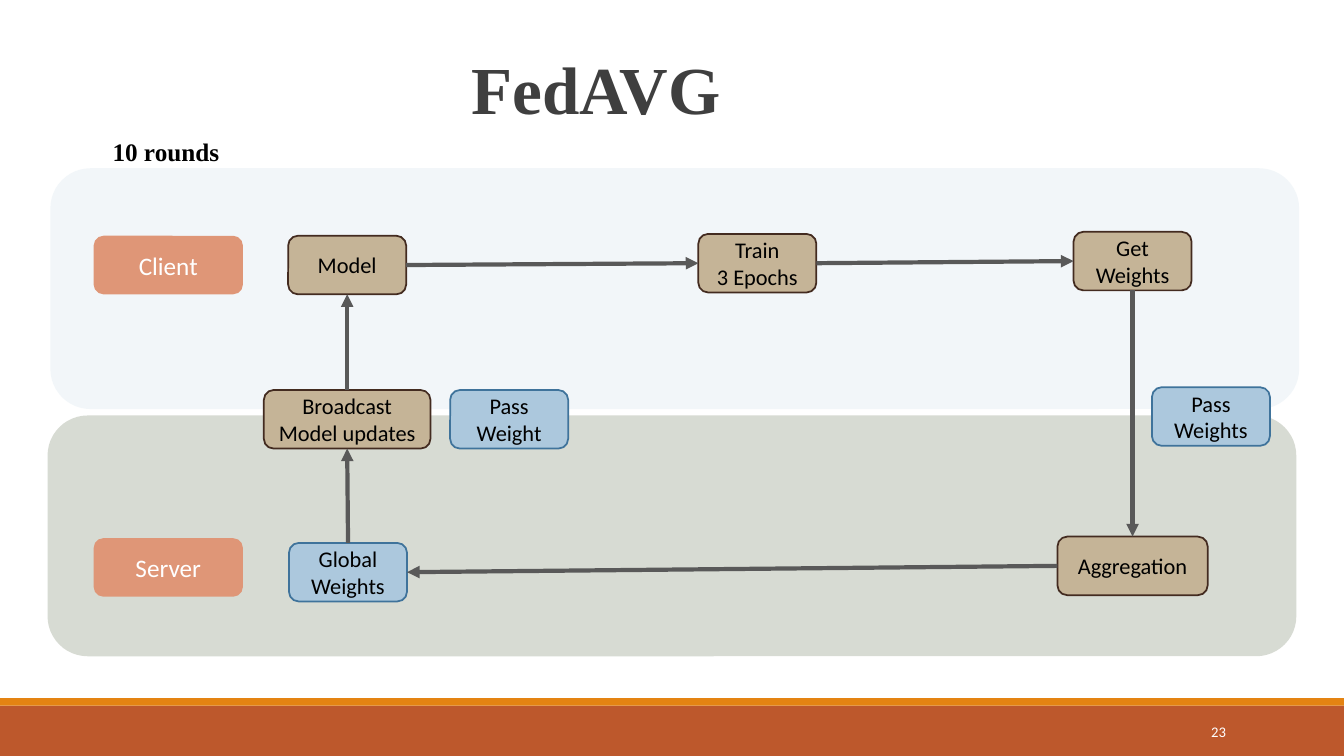
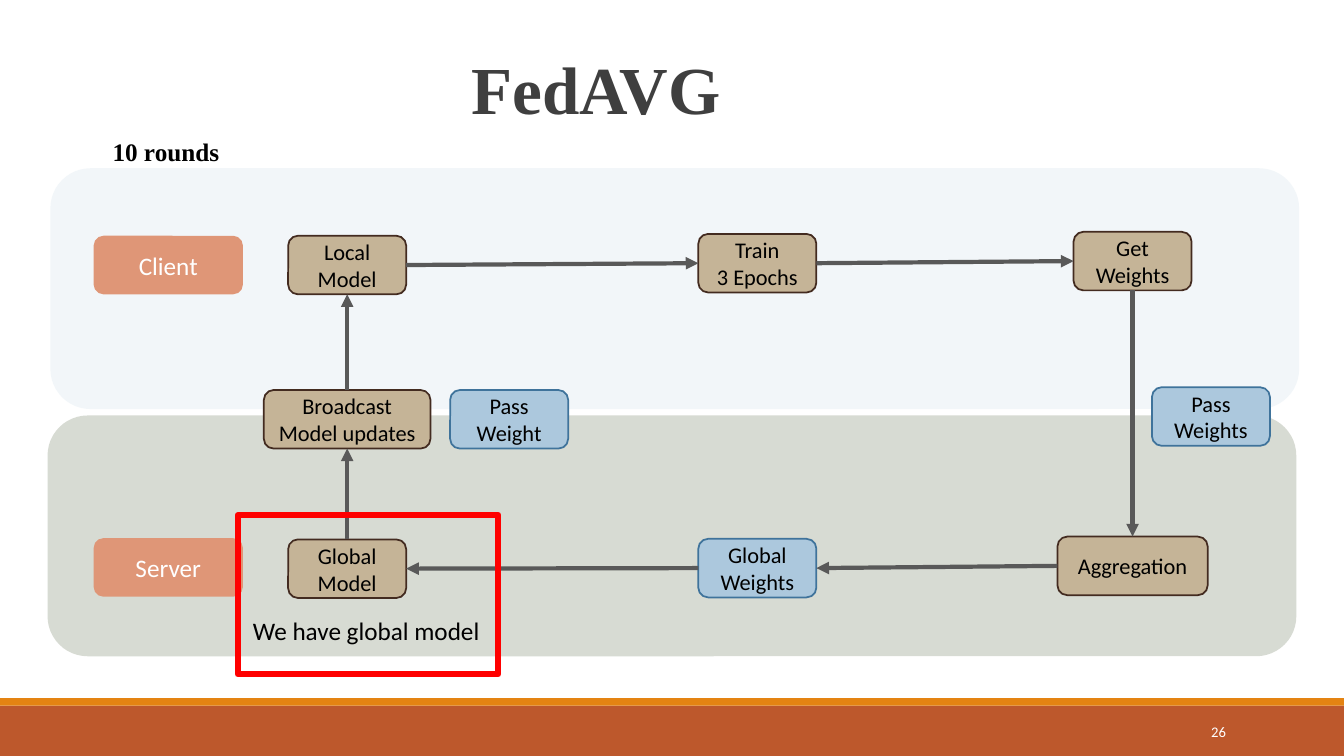
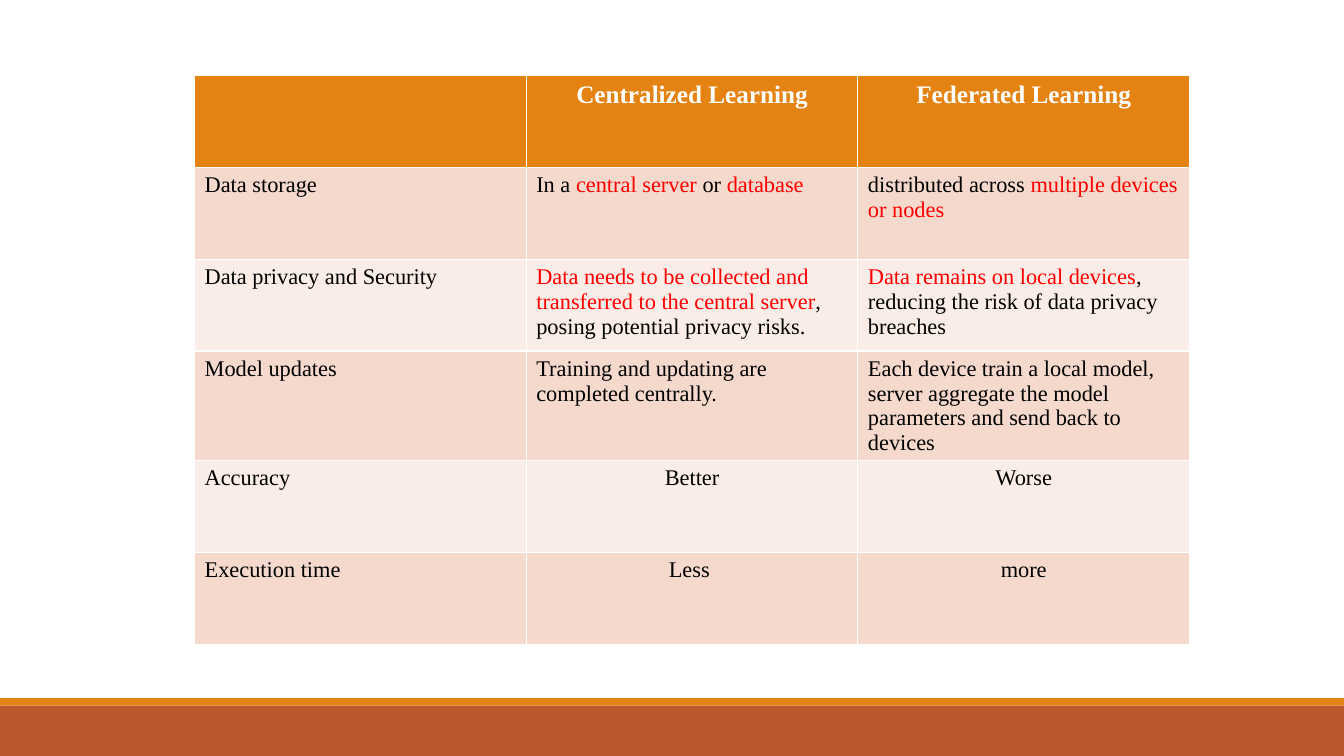
from lxml import etree
from pptx import Presentation
from pptx.dml.color import RGBColor
from pptx.enum.shapes import MSO_CONNECTOR, MSO_SHAPE
from pptx.enum.text import MSO_ANCHOR, PP_ALIGN
from pptx.oxml.ns import qn
from pptx.util import Pt

RECT, ROUND = MSO_SHAPE.RECTANGLE, MSO_SHAPE.ROUNDED_RECTANGLE
STRAIGHT = MSO_CONNECTOR.STRAIGHT
LEFT, CENTER, RIGHT = PP_ALIGN.LEFT, PP_ALIGN.CENTER, PP_ALIGN.RIGHT
TOP, MIDDLE = MSO_ANCHOR.TOP, MSO_ANCHOR.MIDDLE
SANS, SERIF = "Calibri", "Times New Roman"
NORTH, WEST, SOUTH, EAST = range(4)

COLORS = {
    "white": "FFFFFF", "black": "000000", "title": "3F3F3F", "red": "FF0000",
    "rust": "BD582C", "orange": "E48312", "salmon": "DF9677",
    "tan": "C5B497", "brown": "432B20", "sky": "ACC8DD", "blue": "3F739B",
    "client": "CCDDEA", "server": "637052", "arrow": "595959",
    "row_dark": "F5D9CC", "row_light": "FAEDE7",
}
BOX_STYLES = {
    "role": ("salmon", None, "white", 18),
    "step": ("tan", "brown", "black", 16),
    "data": ("sky", "blue", "black", 16),
}


def rgb(name):
    return RGBColor.from_string(COLORS[name])


class Deck:
    def __init__(self):
        self.prs = Presentation()
        self.prs.slide_width, self.prs.slide_height = Pt(960), Pt(540)
        self.s = None

    def slide(self, number=None):
        self.s = self.prs.slides.add_slide(self.prs.slide_layouts[6])
        self.shape(RECT, 0, 504, 960, 36, "rust")
        self.shape(RECT, 0, 498.7, 960, 5.3, "orange")
        if number:
            self.text(str(number), 779.8, 508.3, 103, 28.8, 10.5, "white", align=RIGHT, anchor=MIDDLE)

    def style(self, p, size, color, font=SANS, bold=False, align=LEFT):
        p.alignment = align
        p.font.name, p.font.size, p.font.bold = font, Pt(size), bold
        p.font.color.rgb = rgb(color)

    def shape(self, kind, x, y, w, h, fill=None, line=None, weight=1.25, opacity=None):
        sp = self.s.shapes.add_shape(kind, Pt(x), Pt(y), Pt(w), Pt(h))
        sp.shadow.inherit = False
        if fill:
            sp.fill.solid()
            sp.fill.fore_color.rgb = rgb(fill)
        else:
            sp.fill.background()
        if opacity:
            color = sp._element.spPr.find(qn("a:solidFill"))[0]
            etree.SubElement(color, qn("a:alpha"), val=str(opacity * 1000))
        if line:
            sp.line.color.rgb = rgb(line)
            sp.line.width = Pt(weight)
        else:
            sp.line.fill.background()
        return sp

    def text(self, text, x, y, w, h, size, color, font=SANS, bold=False, align=LEFT,
             anchor=TOP, spacing=None):
        tf = self.s.shapes.add_textbox(Pt(x), Pt(y), Pt(w), Pt(h)).text_frame
        tf.word_wrap = True
        tf.vertical_anchor = anchor
        p = tf.paragraphs[0]
        p.text = text
        p.line_spacing = spacing
        self.style(p, size, color, font, bold, align)

    def box(self, text, cx, cy, style="step", w=84.3, h=41.8):
        fill, line, color, size = BOX_STYLES[style]
        sp = self.shape(ROUND, cx - w / 2, cy - h / 2, w, h, fill, line)
        tf = sp.text_frame
        tf.word_wrap = True
        tf.vertical_anchor = MIDDLE
        tf.text = text
        for p in tf.paragraphs:
            self.style(p, size, color, align=CENTER)
        return sp

    def arrow(self, start, start_side, end, end_side):
        c = self.s.shapes.add_connector(STRAIGHT, 0, 0, 0, 0)
        c.begin_connect(start, start_side)
        c.end_connect(end, end_side)
        c.line.color.rgb = rgb("arrow")
        c.line.width = Pt(3)
        etree.SubElement(c.line._get_or_add_ln(), qn("a:tailEnd"), type="triangle")
        etree.SubElement(c._element.spPr, qn("a:effectLst"))

    def table(self, rows, x, y, col_width, row_height):
        n = len(rows[0])
        table = self.s.shapes.add_table(len(rows), n, Pt(x), Pt(y), Pt(col_width * n),
                                        Pt(row_height * len(rows))).table
        for i, row in enumerate(rows):
            header = i == 0
            fill = "orange" if header else "row_dark" if i % 2 else "row_light"
            for j, text in enumerate(row):
                cell = table.cell(i, j)
                cell.fill.solid()
                cell.fill.fore_color.rgb = rgb(fill)
                p = cell.text_frame.paragraphs[0]
                centered = j > 0 and (header or i > 3)
                self.style(p, 18 if header else 16, "white" if header else "black",
                           SERIF, header, CENTER if centered else LEFT)
                for k, part in enumerate(text.split("*")):
                    if part:
                        r = p.add_run()
                        r.text = part
                        if k % 2:
                            r.font.color.rgb = rgb("red")


def fedavg(deck, number, model_text, with_global_model):
    left, mid, right = 248, 541, 809
    deck.slide(number)
    deck.text("FedAVG ", 36, 38.9, 792, 114.5, 48, "title", SERIF, True, CENTER, spacing=0.85)
    deck.text("10 rounds", 67, 93.6, 103, 28.8, 18, "black", SERIF, True, CENTER)
    deck.shape(ROUND, 36, 120.2, 892, 172, "client", opacity=25)
    deck.shape(ROUND, 34, 296.8, 892, 172, "server", opacity=25)
    deck.box("Client", 120.2, 189.3, "role", 106.6)
    deck.box("Server", 120.2, 405.3, "role", 106.6)
    model = deck.box(model_text, left, 189.3)
    train = deck.box("Train\n3 Epochs", mid, 188)
    get_weights = deck.box("Get\nWeights", right, 186.5)
    aggregation = deck.box("Aggregation", right, 404.2, w=107.3)
    broadcast = deck.box("Broadcast\nModel updates", left, 299.5, w=119)
    deck.box("Pass\nWeight", 363.7, 299.5, "data")
    deck.box("Pass\nWeights", 865, 297.5, "data")
    x, y = (mid, 405.8) if with_global_model else (248.6, 408.7)
    weights = source = deck.box("Global\nWeights", x, y, "data")
    if with_global_model:
        source = deck.box("Global\nModel", left, 406.2)
        deck.arrow(weights, WEST, source, EAST)
    deck.arrow(model, EAST, train, WEST)
    deck.arrow(train, EAST, get_weights, WEST)
    deck.arrow(get_weights, SOUTH, aggregation, NORTH)
    deck.arrow(aggregation, WEST, weights, EAST)
    deck.arrow(source, NORTH, broadcast, SOUTH)
    deck.arrow(broadcast, NORTH, model, SOUTH)
    if with_global_model:
        deck.text("We have global model", 173.5, 436.3, 193.7, 28.8, 18, "black")
        deck.shape(RECT, 170, 368, 186, 113.6, line="red", weight=4.5)


COMPARISON = [
    ["", "Centralized Learning", "Federated Learning"],
    ["Data storage", "In a *central server *or *database*",
     "distributed across *multiple devices or nodes*"],
    ["Data privacy and Security",
     "*Data needs to be collected and transferred to the central server*, "
     "posing potential privacy risks.",
     "*Data remains on local devices*, reducing the risk of data privacy breaches"],
    ["Model updates", "Training and updating are completed centrally.",
     "Each device train a local model, server aggregate the model parameters "
     "and send back to devices"],
    ["Accuracy", "Better", "Worse"],
    ["Execution time", "Less ", "more"],
]


def main():
    deck = Deck()
    fedavg(deck, 23, "Model", False)
    fedavg(deck, 26, "Local\nModel", True)
    deck.slide()
    deck.table(COMPARISON, 139, 54, 236.9, 65.6)
    deck.prs.save("out.pptx")


if __name__ == "__main__":
    main()
